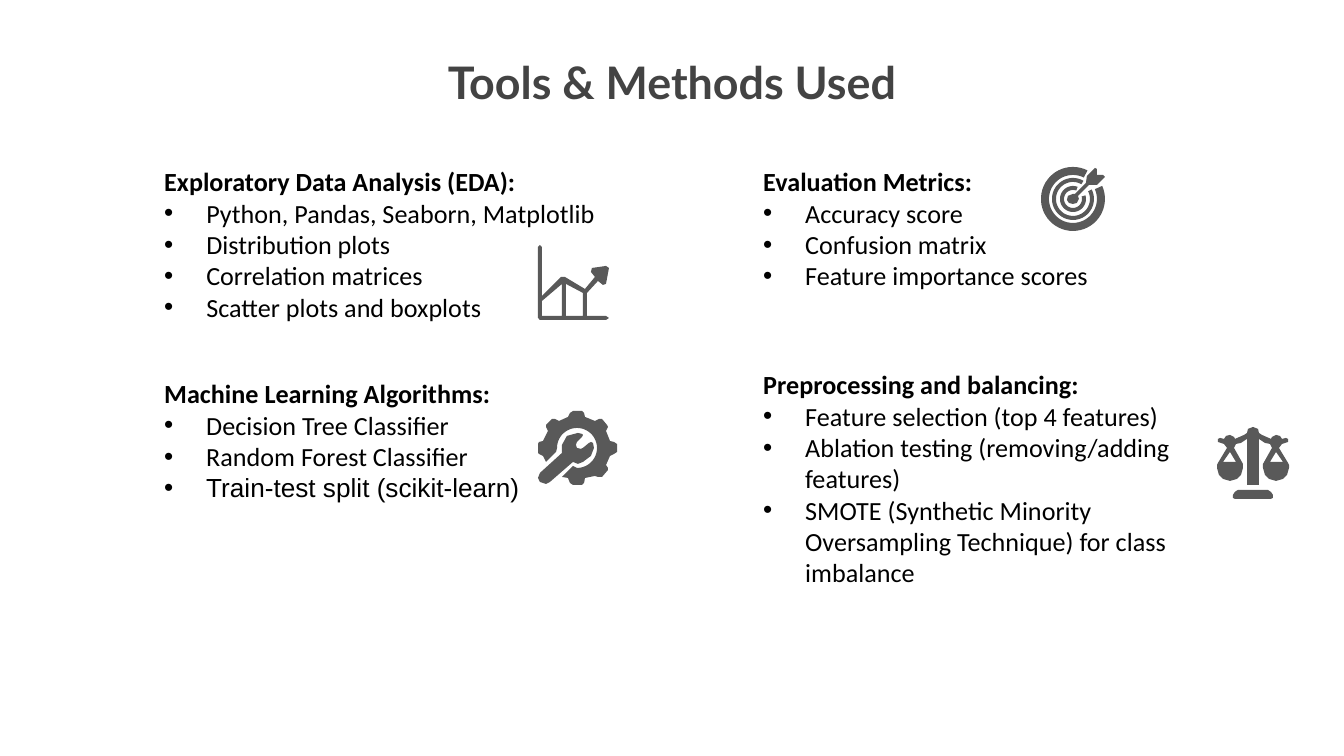
from math import cos, radians, sin

from lxml.etree import SubElement
from pptx import Presentation
from pptx.dml.color import RGBColor
from pptx.enum.text import PP_ALIGN
from pptx.oxml.ns import qn
from pptx.util import Pt

PX = 914400 / 134.4
BLACK = RGBColor(0x00, 0x00, 0x00)
TITLE_GREY = RGBColor(0x43, 0x43, 0x43)
ICON_GREY = RGBColor(0x59, 0x59, 0x59)
INDENT = 42

TITLE = "Tools & Methods Used"
TITLE_BOX = (289, 42, 766, 138)
TITLE_FORMAT = {"name": "Lato", "size": Pt(24), "bold": True}
HEADING_FORMAT = {"name": "Calibri", "size": Pt(14), "bold": True}
ITEM_FORMAT = {"name": "Calibri", "size": Pt(14), "bold": False}
ARIAL_ITEMS = {"Train-test split (scikit-learn)"}

SECTIONS = [
    ((151, 159, 509, 172), "Exploratory Data Analysis (EDA):", [
        "Python, Pandas, Seaborn, Matplotlib",
        "Distribution plots",
        "Correlation matrices",
        "Scatter plots and boxplots"]),
    ((151, 371, 430, 172), "Machine Learning Algorithms:", [
        "Decision Tree Classifier",
        "Random Forest Classifier",
        "Train-test split (scikit-learn)"]),
    ((750, 362, 481, 235), "Preprocessing and balancing:", [
        "Feature selection (top 4 features)",
        "Ablation testing (removing/adding features)",
        "SMOTE (Synthetic Minority Oversampling Technique) for class imbalance"]),
    ((750, 159, 406, 140), "Evaluation Metrics:", [
        "Accuracy score",
        "Confusion matrix",
        "Feature importance scores"]),
]

CHART_FRAME = [
    (540, 245), (538, 247), (538, 318), (540, 320), (606, 320), (609, 318),
    (606, 316), (587, 316), (587, 293), (598, 281), (603, 285), (606, 284),
    (609, 268), (606, 266), (592, 268), (591, 272), (595, 277), (585, 289),
    (565, 277), (561, 277), (542, 296), (542, 247)]
CHART_AREAS = [
    [(562, 284), (562, 316), (542, 316), (542, 301)],
    [(566, 284), (583, 293), (583, 316), (566, 316)]]

TARGET_CENTER = (1073, 199)
TARGET_RINGS = [(21, 17, -27, 300), (13, 9, -16, 291), (32, 24, -24, 297)]
DART = [
    (1095, 168), (1087, 176), (1086, 183), (1075, 194), (1073, 194),
    (1068, 196), (1067, 200), (1069, 203), (1073, 204), (1077, 203),
    (1079, 199), (1078, 196), (1089, 185), (1097, 185), (1105, 177),
    (1103, 175), (1097, 175), (1097, 169)]

GEAR_CENTER = (577, 448)
GEAR_LEFT = [
    (582, 411), (573, 411), (570, 413), (568, 417), (559, 421), (555, 419),
    (552, 419), (546, 425), (546, 427), (548, 431), (543, 441), (539, 442),
    (538, 444), (538, 453), (539, 454), (543, 456), (546, 462), (556, 452)]
GEAR_RIGHT = [
    (573, 466), (562, 477), (568, 478), (570, 483), (573, 485), (582, 485),
    (584, 483), (585, 478), (595, 476), (598, 477), (602, 477), (608, 470),
    (608, 468), (606, 465), (610, 456), (614, 454), (617, 452), (617, 444),
    (614, 442), (610, 441), (606, 431), (608, 427), (607, 425), (602, 419),
    (599, 419), (595, 421), (585, 417), (584, 413)]
WRENCH = [
    (578, 433), (567, 436), (562, 445), (562, 453), (540, 473), (538, 478),
    (540, 482), (546, 484), (550, 482), (573, 462), (578, 464), (583, 462),
    (591, 456), (594, 448), (593, 443), (591, 442), (589, 443), (583, 448),
    (581, 449), (577, 448), (576, 445), (577, 442), (582, 437), (583, 435),
    (582, 434)]

SCALES_AXIS = 1253
SCALES_HALF = [
    (1253, 427), (1248, 429), (1247, 433), (1244, 435), (1235, 439),
    (1234, 437), (1230, 435), (1226, 436), (1224, 439), (1220, 438),
    (1218, 439), (1218, 442), (1224, 444), (1227, 448), (1218, 463),
    (1217, 465), (1217, 468), (1219, 475), (1223, 479), (1230, 481),
    (1237, 479), (1241, 475), (1243, 468), (1243, 464), (1234, 448),
    (1236, 444), (1241, 443), (1247, 439), (1247, 485)]
PAN_OPENING = [(1230, 452), (1236, 462), (1223, 462)]
BASE_HALF = [(1238, 490), (1235, 492), (1233, 495), (1233, 498), (1235, 499)]


def arc(center, radius, start, end, steps=48):
    angles = [radians(start + (end - start) * i / steps) for i in range(steps + 1)]
    return [(center[0] + radius * cos(a), center[1] + radius * sin(a)) for a in angles]


def ring(center, outer, inner, start, end):
    return arc(center, outer, start, end) + arc(center, inner, end, start)


def mirror(points):
    return [(2 * SCALES_AXIS - x, y) for x, y in reversed(points)]


def symmetric(points):
    return points + mirror(points)


def add_outline(s, contours):
    scaled = [[(round(x * PX), round(y * PX)) for x, y in c] for c in contours]
    builder = s.shapes.build_freeform(*scaled[0][0], scale=1.0)
    for i, points in enumerate(scaled):
        if i:
            builder.move_to(*points[0])
        builder.add_line_segments(points[1:], close=True)
    sp = builder.convert_to_shape()
    sp.shadow.inherit = False
    sp.fill.solid()
    sp.fill.fore_color.rgb = ICON_GREY
    sp.line.fill.background()


def add_box(s, box):
    tf = s.shapes.add_textbox(*[round(v * PX) for v in box]).text_frame
    tf.word_wrap = True
    return tf


def add_text(p, text, color, values):
    r = p.add_run()
    r.text = text
    for key, value in values.items():
        setattr(r.font, key, value)
    r.font.color.rgb = color


def add_bullet(p):
    pPr = p._p.get_or_add_pPr()
    pPr.set("marL", str(round(INDENT * PX)))
    pPr.set("indent", str(-round(INDENT * PX)))
    SubElement(SubElement(pPr, qn("a:buClr")), qn("a:srgbClr")).set("val", str(BLACK))
    SubElement(pPr, qn("a:buFont")).set("typeface", "Arial")
    SubElement(pPr, qn("a:buChar")).set("char", "•")


def main():
    prs = Presentation()
    prs.slide_width, prs.slide_height = round(1344 * PX), round(756 * PX)
    s = prs.slides.add_slide(prs.slide_layouts[6])

    tf = add_box(s, TITLE_BOX)
    tf.margin_top = tf.margin_bottom = round(13 * PX)
    p = tf.paragraphs[0]
    p.alignment = PP_ALIGN.CENTER
    add_text(p, TITLE, TITLE_GREY, TITLE_FORMAT)

    for box, heading, items in SECTIONS:
        tf = add_box(s, box)
        add_text(tf.paragraphs[0], heading, BLACK, HEADING_FORMAT)
        for item in items:
            p = tf.add_paragraph()
            add_bullet(p)
            name = "Arial" if item in ARIAL_ITEMS else "Calibri"
            add_text(p, item, BLACK, {**ITEM_FORMAT, "name": name})

    gear = GEAR_LEFT + arc(GEAR_CENTER, 20, 180, 450) + GEAR_RIGHT
    outlines = [[CHART_FRAME, *CHART_AREAS]]
    outlines += [[ring(TARGET_CENTER, *values)] for values in TARGET_RINGS]
    outlines += [[DART], [gear], [WRENCH]]
    outlines += [[symmetric(SCALES_HALF), PAN_OPENING, mirror(PAN_OPENING)]]
    outlines += [[symmetric(BASE_HALF)]]
    for contours in outlines:
        add_outline(s, contours)

    prs.save("out.pptx")


if __name__ == "__main__":
    main()
